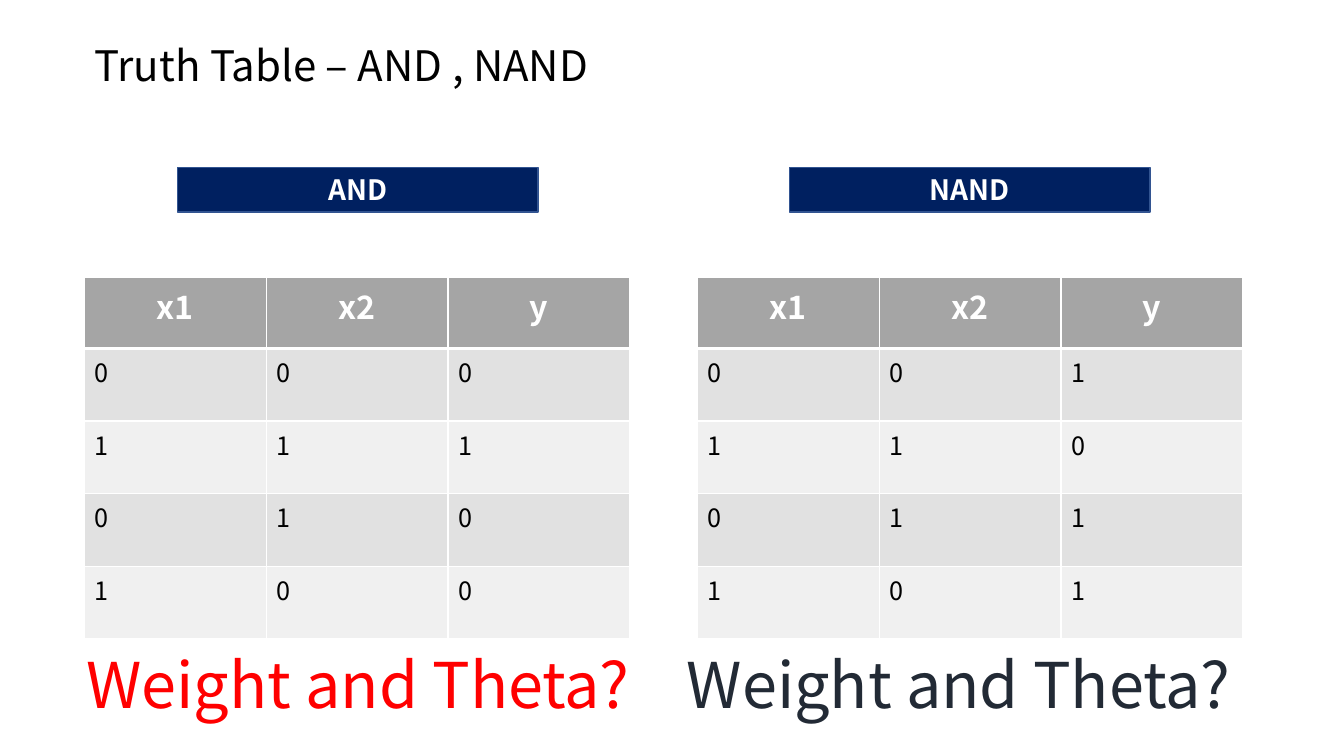
from lxml import etree
from pptx import Presentation
from pptx import util as u
from pptx.dml.color import RGBColor
from pptx.enum import shapes, text
from pptx.oxml import ns

FONT = "Noto Sans CJK KR"
BLACK = RGBColor(0x00, 0x00, 0x00)
WHITE = RGBColor(0xFF, 0xFF, 0xFF)
NAVY = RGBColor(0x00, 0x20, 0x60)
BLUE = RGBColor(0x32, 0x54, 0x91)
RED = RGBColor(0xFF, 0x00, 0x00)
SLATE = RGBColor(0x22, 0x2A, 0x35)
HEADER_GREY = RGBColor(0xA5, 0xA5, 0xA5)
BAND_GREYS = [RGBColor(0xE1, 0xE1, 0xE1), RGBColor(0xF0, 0xF0, 0xF0)]

LEFT, CENTER = text.PP_ALIGN.LEFT, text.PP_ALIGN.CENTER
COLUMN_WIDTH = u.Cm(4.58)
HEADER_HEIGHT, ROW_HEIGHT = u.Cm(1.79), u.Cm(1.83)
INPUTS = [(0, 0), (1, 1), (0, 1), (1, 0)]
GATES = [
    {"name": "AND", "outputs": [0, 1, 0, 0], "table": 2.13,
     "banner": 4.47, "question": 1.85, "color": RED},
    {"name": "NAND", "outputs": [1, 0, 1, 1], "table": 17.58,
     "banner": 19.89, "question": 16.99, "color": SLATE},
]


def write(frame, words, size, color, align=CENTER, bold=False):
    para = frame.paragraphs[0]
    para.alignment = align
    span = para.add_run()
    span.text = words
    span.font.color.rgb = color
    formats = {"name": FONT, "size": u.Pt(size), "bold": bold}
    for key, value in formats.items():
        setattr(span.font, key, value)


def add_borders(cell, bottom):
    properties = cell._tc.get_or_add_tcPr()
    widths = {"lnL": 1, "lnR": 1, "lnT": 1, "lnB": bottom}
    for position, (side, width) in enumerate(widths.items()):
        line = etree.Element(ns.qn(f"a:{side}"), w=str(u.Pt(width)))
        fill = etree.SubElement(line, ns.qn("a:solidFill"))
        etree.SubElement(fill, ns.qn("a:srgbClr"), val=str(WHITE))
        properties.insert(position, line)


deck = Presentation()
deck.slide_width, deck.slide_height = u.Cm(33.87), u.Cm(19.05)
page = deck.slides.add_slide(deck.slide_layouts[5])

# Title
title = page.shapes.title
title_box = {"left": 2.13, "top": 0.86, "width": 27.94, "height": 1.68}
for key, value in title_box.items():
    setattr(title, key, u.Cm(value))
title.text_frame.auto_size = text.MSO_AUTO_SIZE.NONE
title.text_frame.vertical_anchor = text.MSO_ANCHOR.MIDDLE
write(title.text_frame, "Truth Table – AND , NAND", 30, BLACK, LEFT)
title.text_frame.paragraphs[0].line_spacing = 0.9

for gate in GATES:
    # Truth table
    rows = [("x1", "x2", "y")]
    rows += [(*pair, y) for pair, y in zip(INPUTS, gate["outputs"])]
    table = page.shapes.add_table(
        len(rows), 3, u.Cm(gate["table"]), u.Cm(6.99),
        COLUMN_WIDTH * 3, HEADER_HEIGHT + ROW_HEIGHT * 4).table
    for column in table.columns:
        column.width = COLUMN_WIDTH
    for r, values in enumerate(rows):
        header = r == 0
        table.rows[r].height = HEADER_HEIGHT if header else ROW_HEIGHT
        for c, value in enumerate(values):
            cell = table.cell(r, c)
            cell.fill.solid()
            if header:
                cell.fill.fore_color.rgb = HEADER_GREY
                write(cell.text_frame, value, 23, WHITE, bold=True)
            else:
                cell.fill.fore_color.rgb = BAND_GREYS[(r - 1) % 2]
                write(cell.text_frame, str(value), 18, BLACK, LEFT)
            add_borders(cell, bottom=3 if header else 1)

    # Gate name banner
    banner = page.shapes.add_shape(
        shapes.MSO_SHAPE.RECTANGLE, u.Cm(gate["banner"]), u.Cm(4.22),
        u.Cm(9.09), u.Cm(1.12))
    banner.shadow.inherit = False
    banner.fill.solid()
    banner.fill.fore_color.rgb = NAVY
    banner.line.color.rgb = BLUE
    banner.line.width = u.Pt(1)
    banner.text_frame.vertical_anchor = text.MSO_ANCHOR.MIDDLE
    write(banner.text_frame, gate["name"], 20, WHITE, bold=True)

    # Question below the table
    question = page.shapes.add_textbox(
        u.Cm(gate["question"]), u.Cm(16.13), u.Cm(14.33), u.Cm(2.18))
    question.text_frame.word_wrap = False
    question.text_frame.auto_size = text.MSO_AUTO_SIZE.SHAPE_TO_FIT_TEXT
    write(question.text_frame, "Weight and Theta?", 45, gate["color"])

deck.save("out.pptx")
